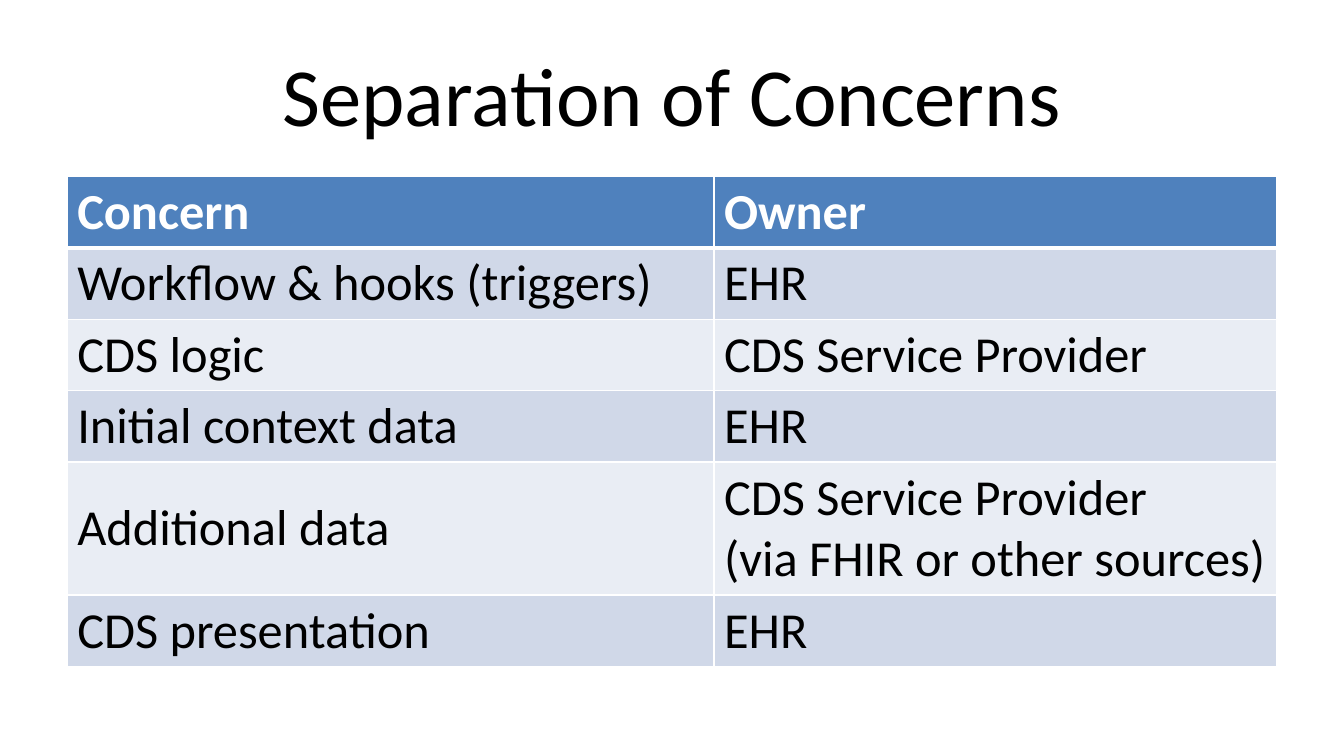
from lxml import etree
from pptx import Presentation
from pptx import util as u
from pptx.dml.color import RGBColor
from pptx.enum import text
from pptx.oxml import parse_xml
from pptx.oxml.ns import nsdecls, qn

BLACK = RGBColor(0x00, 0x00, 0x00)
WHITE = RGBColor(0xFF, 0xFF, 0xFF)
HEADER_BLUE = RGBColor(0x4F, 0x81, 0xBD)
BAND_DARK = RGBColor(0xD0, 0xD8, 0xE8)
BAND_LIGHT = RGBColor(0xE9, 0xED, 0xF4)

CONCERNS = [
    ("Concern", "Owner"),
    ("Workflow & hooks (triggers)", "EHR"),
    ("CDS logic", "CDS Service Provider"),
    ("Initial context data", "EHR"),
    ("Additional data", "CDS Service Provider\n(via FHIR or other sources)"),
    ("CDS presentation", "EHR"),
]
COLUMN_WIDTHS = (462, 402)
ROW_HEIGHT = 51
LINE_HEIGHT = 44


class SlideBuilder:
    font_name = "Calibri"
    title_size = 59
    table_size = 36

    def __init__(self, slide):
        self.slide = slide

    def add_lines(self, paragraph, content, size, color, bold=False):
        """Add one run per line, with line breaks between them."""
        for index, line in enumerate(content.split("\n")):
            if index:
                paragraph.add_line_break()
            run = paragraph.add_run()
            run.text = line
            run.font.name = self.font_name
            run.font.size = u.Pt(size)
            run.font.bold = bold
            run.font.color.rgb = color

    def title(self, content, left, top, width, height):
        shape = self.slide.shapes.add_textbox(
            u.Pt(left), u.Pt(top), u.Pt(width), u.Pt(height))
        frame = shape.text_frame
        frame.word_wrap = True
        frame.vertical_anchor = text.MSO_ANCHOR.MIDDLE
        paragraph = frame.paragraphs[0]
        paragraph.alignment = text.PP_ALIGN.CENTER
        self.add_lines(paragraph, content, self.title_size, BLACK)

    def borders(self, cell, top, bottom):
        """Draw white cell borders; the sides are one point wide."""
        properties = cell._tc.get_or_add_tcPr()
        widths = {"lnL": 1, "lnR": 1, "lnT": top, "lnB": bottom}
        for index, (tag, width) in enumerate(widths.items()):
            line = parse_xml(f'<a:{tag} {nsdecls("a")} w="{u.Pt(width)}"/>')
            fill = etree.SubElement(line, qn("a:solidFill"))
            etree.SubElement(fill, qn("a:srgbClr"), val=str(WHITE))
            properties.insert(index, line)

    def table(self, rows, column_widths, left, top):
        heights = [ROW_HEIGHT + LINE_HEIGHT * max(value.count("\n") for value in row)
                   for row in rows]
        table = self.slide.shapes.add_table(
            len(rows), len(column_widths), u.Pt(left), u.Pt(top),
            u.Pt(sum(column_widths)), u.Pt(sum(heights))).table
        table.horz_banding = False
        for column, width in zip(table.columns, column_widths):
            column.width = u.Pt(width)
        for row_index, values in enumerate(rows):
            table.rows[row_index].height = u.Pt(heights[row_index])
            header = row_index == 0
            band = BAND_DARK if row_index % 2 else BAND_LIGHT
            for column_index, value in enumerate(values):
                cell = table.cell(row_index, column_index)
                cell.fill.solid()
                cell.fill.fore_color.rgb = HEADER_BLUE if header else band
                cell.vertical_anchor = text.MSO_ANCHOR.MIDDLE
                self.borders(cell, top=3 if row_index == 1 else 1,
                             bottom=3 if header else 1)
                self.add_lines(cell.text_frame.paragraphs[0], value, self.table_size,
                               WHITE if header else BLACK, bold=header)


def main():
    presentation = Presentation()
    presentation.slide_width = u.Pt(960)
    presentation.slide_height = u.Pt(540)
    slide = presentation.slides.add_slide(presentation.slide_layouts[6])
    builder = SlideBuilder(slide)
    builder.title("Separation of Concerns", 48, 21.6, 864, 90)
    builder.table(CONCERNS, COLUMN_WIDTHS, 48, 126)
    presentation.save("out.pptx")


if __name__ == "__main__":
    main()
